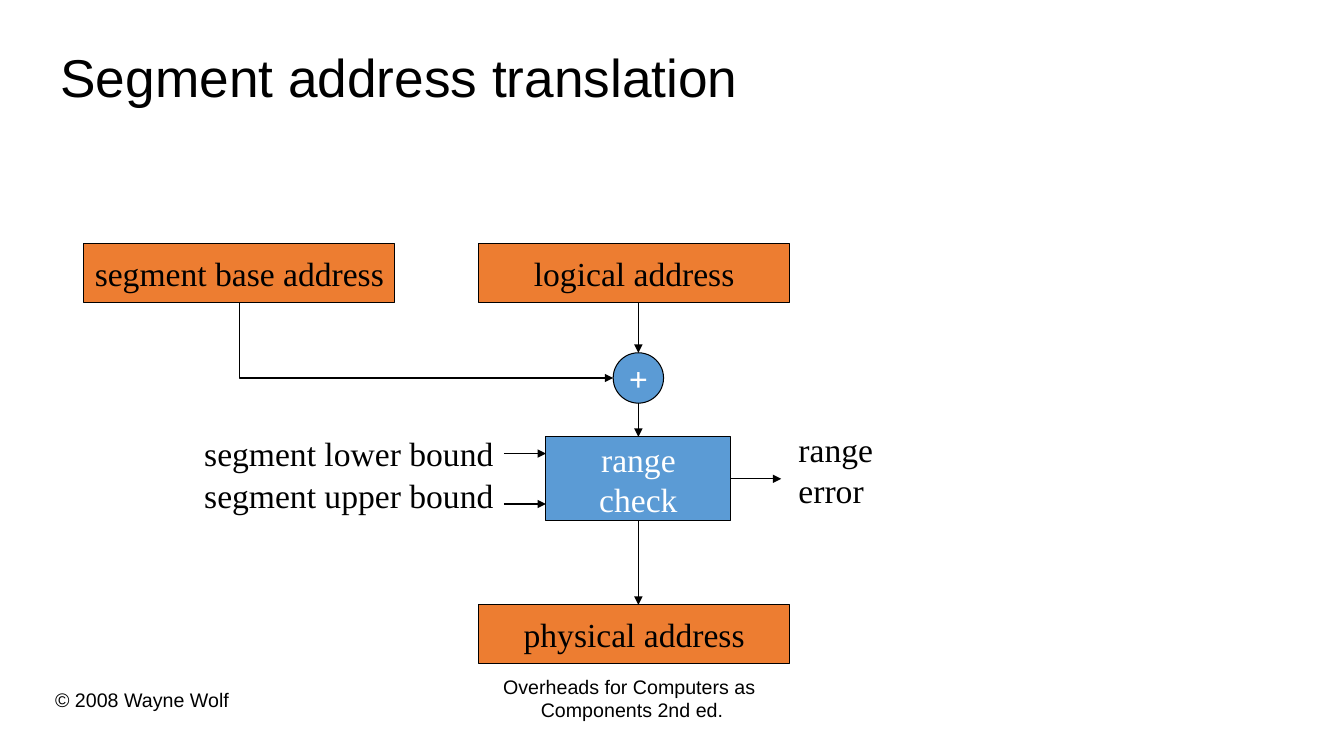
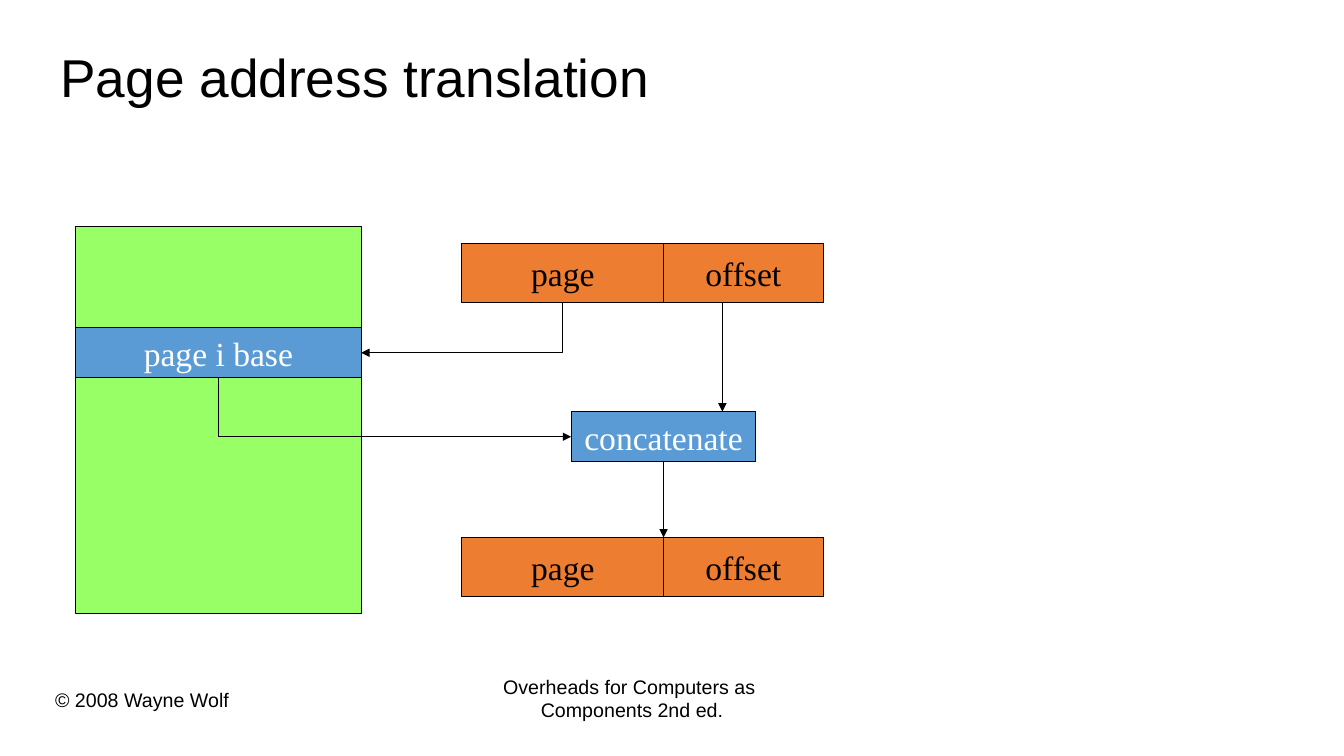
from lxml import etree
from pptx import Presentation
from pptx.dml.color import RGBColor
from pptx.enum.shapes import MSO_CONNECTOR, MSO_SHAPE
from pptx.enum.text import MSO_ANCHOR, MSO_AUTO_SIZE, PP_ALIGN
from pptx.oxml.ns import qn
from pptx.util import Pt

PX = 9525
COLORS = {
    "ink": "000000",
    "paper": "FFFFFF",
    "address": "ED7D31",
    "operation": "5B9BD5",
    "table": "99FF66",
}
TITLE_FONT = "Arial"
DIAGRAM_FONT = "Times New Roman"
ADDRESS_HEIGHT = 56


def color(name):
    return RGBColor.from_string(COLORS[name])


def px(*lengths):
    return [round(length * PX) for length in lengths]


def write(shape, text, size=24, font=DIAGRAM_FONT, ink="ink", align=PP_ALIGN.LEFT,
          bold=False, anchor=MSO_ANCHOR.TOP, wrap=False, fit=MSO_AUTO_SIZE.NONE, spacing=None):
    """Fill a shape with text, one paragraph for each line."""
    frame = shape.text_frame
    frame.text = text
    frame.word_wrap = wrap
    frame.auto_size = fit
    frame.vertical_anchor = anchor
    for para in frame.paragraphs:
        para.alignment = align
        para.line_spacing = spacing
        for span in para.runs:
            span.font.name = font
            span.font.size = Pt(size)
            span.font.bold = bold
            span.font.color.rgb = color(ink)


def add_label(page, text, left, top, width, height, **style):
    box = page.shapes.add_textbox(*px(left, top, width, height))
    write(box, text, fit=MSO_AUTO_SIZE.SHAPE_TO_FIT_TEXT, **style)


def add_block(page, text, left, top, width, height, fill="address", ink="ink",
              kind=MSO_SHAPE.RECTANGLE, bold=False):
    block = page.shapes.add_shape(kind, *px(left, top, width, height))
    block.shadow.inherit = False
    block.fill.solid()
    block.fill.fore_color.rgb = color(fill)
    block.line.color.rgb = color("ink")
    block.line.width = Pt(0.75)
    if text:
        write(block, text, ink=ink, bold=bold, align=PP_ALIGN.CENTER, anchor=MSO_ANCHOR.MIDDLE)
    return block


def add_operation(page, text, left, top, width, height, **style):
    return add_block(page, text, left, top, width, height, fill="operation", ink="paper", **style)


def edge(block, side):
    """Return the middle of one side of a block, in px."""
    across, down = {"top": (0.5, 0), "left": (0, 0.5), "bottom": (0.5, 1), "right": (1, 0.5)}[side]
    return (block.left + block.width * across) / PX, (block.top + block.height * down) / PX


def add_arrow(page, start, end, kind=MSO_CONNECTOR.STRAIGHT):
    arrow = page.shapes.add_connector(kind, *px(*start, *end))
    arrow.line.color.rgb = color("ink")
    arrow.line.width = Pt(0.75)
    properties = arrow._element.spPr
    etree.SubElement(properties.find(qn("a:ln")), qn("a:tailEnd"), type="triangle")
    etree.SubElement(properties, qn("a:effectLst"))
    return arrow


def add_bent_arrow(page, start, end):
    """Draw an arrow that runs down first and then across."""
    arrow = add_arrow(page, start, end, MSO_CONNECTOR.ELBOW)
    (start_x, start_y), (end_x, end_y) = start, end
    # The preset runs across first, so its box is turned on its side.
    width, height = abs(end_y - start_y), abs(end_x - start_x)
    left, top = (start_x + end_x - width) / 2, (start_y + end_y - height) / 2
    arrow.left, arrow.top, arrow.width, arrow.height = px(left, top, width, height)
    properties = arrow._element.spPr
    properties.find(qn("a:prstGeom")).set("prst", "bentConnector2")
    frame = properties.find(qn("a:xfrm"))
    rightward = end_x > start_x
    frame.set("rot", str((270 if rightward else 90) * 60000))
    frame.set("flipH", "1" if rightward else "0")


def add_drop(page, upper, lower, x):
    add_arrow(page, (x, edge(upper, "bottom")[1]), (x, edge(lower, "top")[1]))


def add_page(deck, title):
    page = deck.slides.add_slide(deck.slide_layouts[5])
    heading = page.shapes.title
    heading.left, heading.top, heading.width, heading.height = px(48, 24, 856, 104)
    write(heading, title, size=38, font=TITLE_FONT, anchor=MSO_ANCHOR.MIDDLE,
          wrap=True, spacing=0.9)
    add_label(page, "Overheads for Computers as \nComponents 2nd ed.", 469, 638, 266, 55,
              size=14, font=TITLE_FONT, align=PP_ALIGN.CENTER)
    add_label(page, "© 2008 Wayne Wolf", 43, 650, 186, 33, size=14, font=TITLE_FONT)
    return page


def draw_segment_translation(page, left, top):
    width, column = 296, left + 376
    base = add_block(page, "segment base address", left, top, width, ADDRESS_HEIGHT)
    logical = add_block(page, "logical address", column, top, width, ADDRESS_HEIGHT)
    check = add_operation(page, "range\ncheck", left + 440, top + 184, 176, 80)
    physical = add_block(page, "physical address", column, top + 344, width, ADDRESS_HEIGHT)
    adder = add_operation(page, "+", left + 504, top + 104, 48, 48,
                          kind=MSO_SHAPE.OVAL, bold=True)

    chain = [logical, adder, check, physical]
    for upper, lower in zip(chain, chain[1:]):
        add_drop(page, upper, lower, edge(adder, "top")[0])
    add_bent_arrow(page, edge(base, "bottom"), edge(adder, "left"))

    check_left = edge(check, "left")[0]
    for text, label_top, arrow_top in (("segment lower bound", 176, 200),
                                       ("segment upper bound", 216, 248)):
        add_label(page, text, left + 105, top + label_top, 295, 48)
        add_arrow(page, (check_left - 40, top + arrow_top), (check_left, top + arrow_top))
    error_x, error_y = edge(check, "right")
    add_arrow(page, (error_x, error_y), (error_x + 48, error_y))
    add_label(page, "range\nerror", left + 671, top + 172, 90, 86)


def draw_address(page, left, top):
    """Draw an address split into page and offset, and return both parts."""
    number = add_block(page, "page", left, top, 192, ADDRESS_HEIGHT)
    offset = add_block(page, "offset", left + 192, top, 152, ADDRESS_HEIGHT)
    return number, offset


def draw_page_translation(page, left, top):
    number, offset = draw_address(page, left + 368, top + 16)
    result, _ = draw_address(page, left + 368, top + 296)
    add_block(page, "", left, top, 272, 368, fill="table")
    entry = add_operation(page, "page i base", left, top + 96, 272, 48)
    joiner = add_operation(page, "concatenate", left + 472, top + 176, 176, 48)

    add_drop(page, joiner, result, edge(joiner, "bottom")[0])
    add_drop(page, offset, joiner, left + 616)
    add_bent_arrow(page, edge(number, "bottom"), edge(entry, "right"))
    add_bent_arrow(page, edge(entry, "bottom"), edge(joiner, "left"))


def main():
    deck = Presentation()
    deck.slide_width, deck.slide_height = px(1280, 720)
    draw_segment_translation(add_page(deck, "Segment address translation"), 80, 232)
    draw_page_translation(add_page(deck, "Page address translation"), 72, 216)
    deck.save("out.pptx")


if __name__ == "__main__":
    main()
